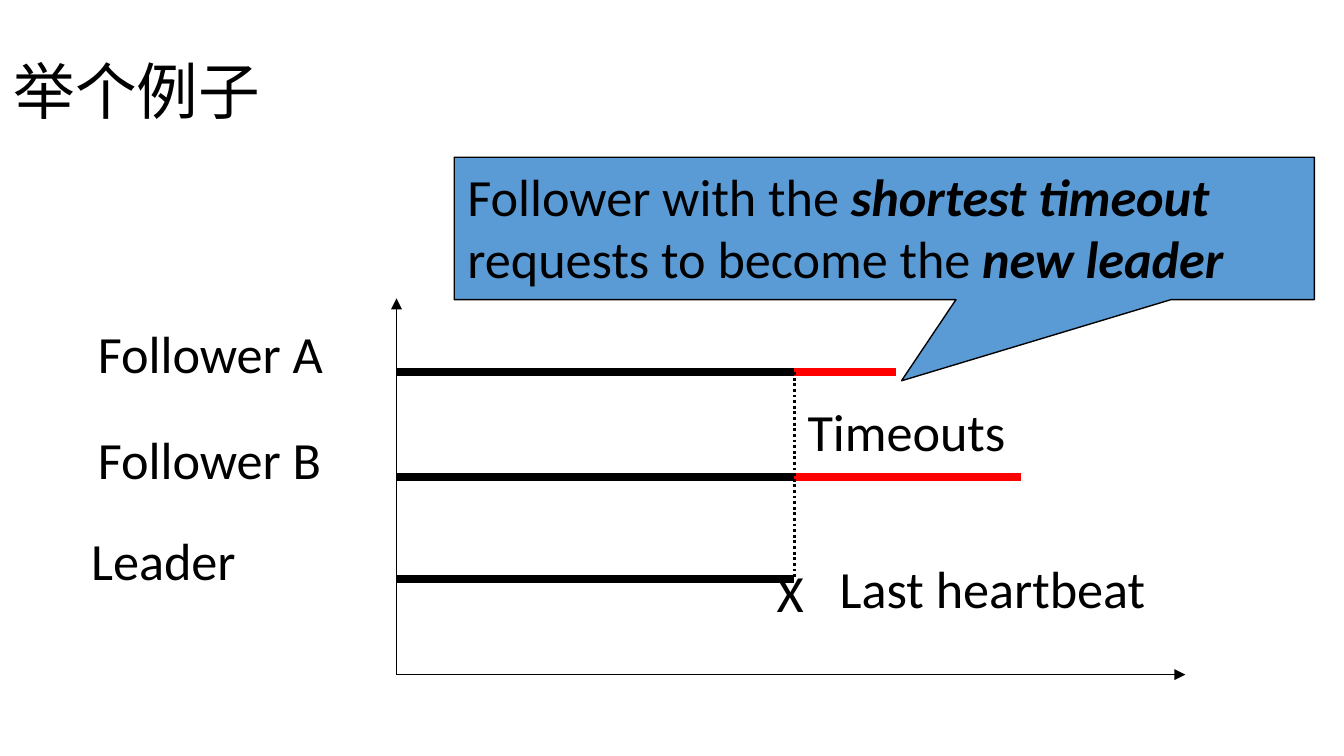
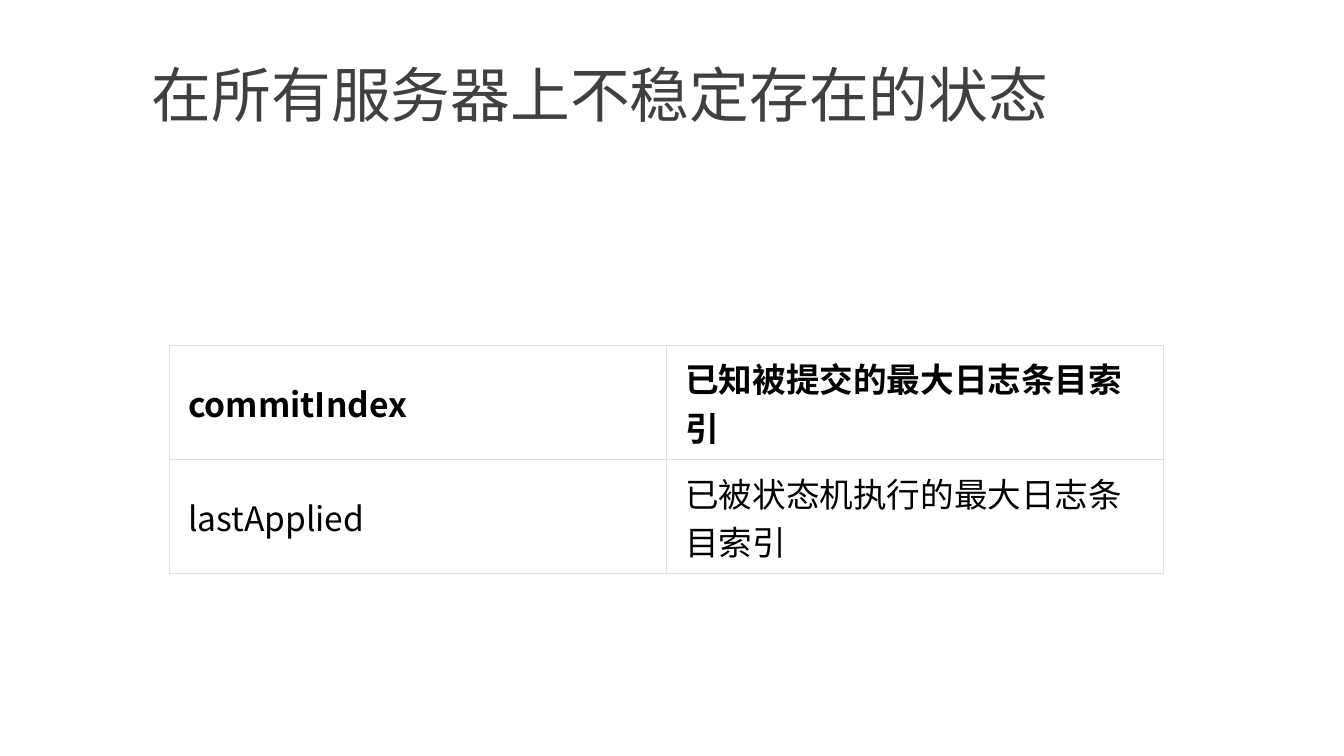
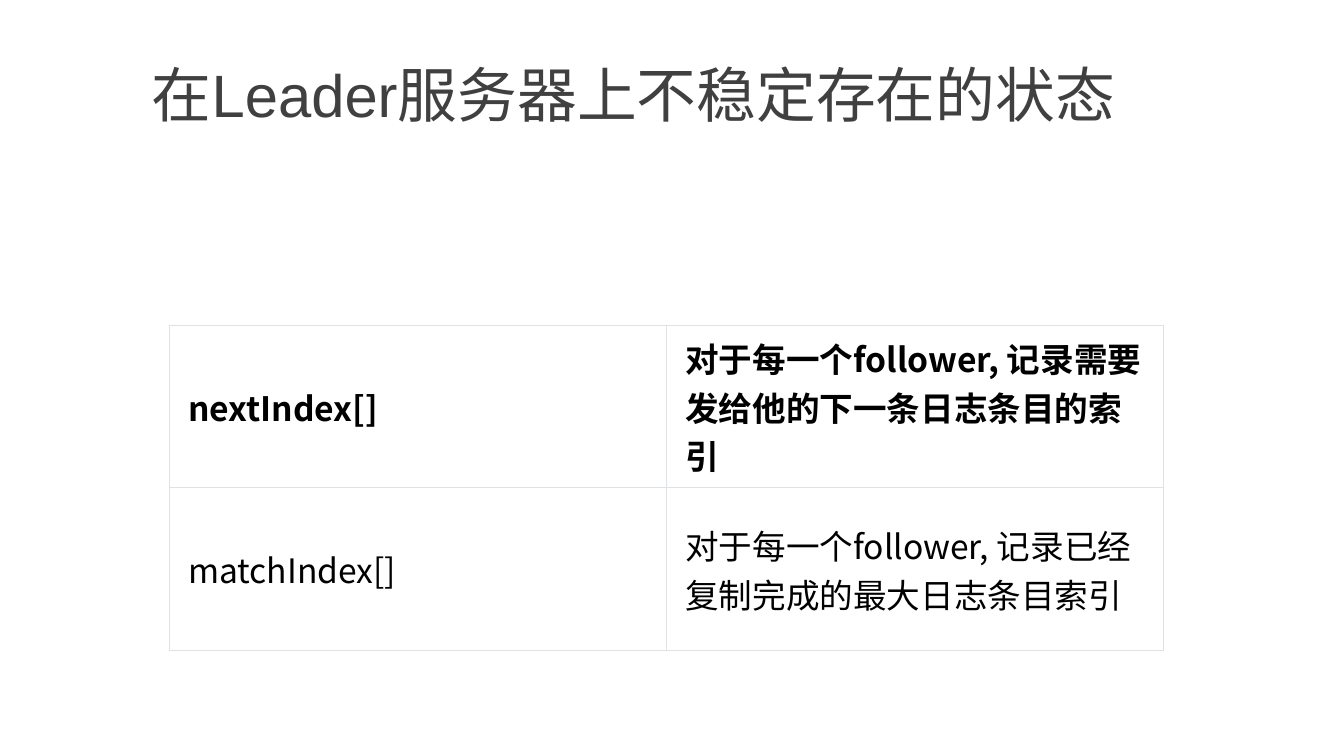
from pptx import Presentation
from pptx.dml.color import RGBColor
from pptx.enum.dml import MSO_LINE
from pptx.enum.shapes import MSO_CONNECTOR, MSO_SHAPE
from pptx.enum.text import MSO_ANCHOR, MSO_AUTO_SIZE, PP_ALIGN
from pptx.oxml.ns import qn
from pptx.util import Inches, Pt
from lxml.etree import SubElement

BLACK = RGBColor(0x00, 0x00, 0x00)
WHITE = RGBColor(0xFF, 0xFF, 0xFF)
RED = RGBColor(0xFF, 0x00, 0x00)
BLUE = RGBColor(0x5B, 0x9B, 0xD5)
GREY = RGBColor(0x40, 0x40, 0x40)
BORDER = RGBColor(0xDF, 0xE2, 0xE5)

CHINESE_FONT = "Noto Sans CJK SC"
LABEL_FONT = "Calibri"
LABEL_SIZE = 28
TITLE_ONLY = 5

AXIS_X, AXIS_Y = 2.95, 5.02
HEARTBEAT_X = 5.91
FOLLOWER_A_Y, FOLLOWER_B_Y, LEADER_Y = 2.77, 3.55, 4.31


def add_span(para, text, font, size, color=BLACK, bold=False, italic=False):
    span = para.add_run()
    span.text = text
    span.font.name = font
    span.font.size = Pt(size)
    span.font.color.rgb = color
    span.font.bold = bold
    span.font.italic = italic
    east_asian = SubElement(span.font._element, qn("a:ea"))
    east_asian.set("typeface", CHINESE_FONT)


def add_page(deck, title, left, size, font, color, spacing=1.0):
    page = deck.slides.add_slide(deck.slide_layouts[TITLE_ONLY])
    box = page.shapes.title
    box.left, box.top = Inches(left), Inches(0.23)
    box.width, box.height = Inches(7.84), Inches(0.94)
    frame = box.text_frame
    frame.auto_size = MSO_AUTO_SIZE.NONE
    frame.vertical_anchor = MSO_ANCHOR.MIDDLE
    para = frame.paragraphs[0]
    para.alignment = PP_ALIGN.LEFT
    para.line_spacing = spacing
    add_span(para, title, font, size, color)
    return page


def add_line(page, start, end, width, color=BLACK, arrow=False, dash=None):
    line = page.shapes.add_connector(
        MSO_CONNECTOR.STRAIGHT, *[Inches(value) for value in (*start, *end)])
    line.line.color.rgb = color
    line.line.width = Pt(width)
    if dash:
        line.line.dash_style = dash
    if arrow:
        SubElement(line.line._get_or_add_ln(), qn("a:tailEnd")).set("type", "triangle")
    SubElement(line._element.spPr, qn("a:effectLst"))


def add_label(page, text, left, top, width):
    box = page.shapes.add_textbox(Inches(left), Inches(top), Inches(width), Inches(0.57))
    box.text_frame.word_wrap = False
    box.text_frame.auto_size = MSO_AUTO_SIZE.SHAPE_TO_FIT_TEXT
    add_span(box.text_frame.paragraphs[0], text, LABEL_FONT, LABEL_SIZE)


def add_callout(page, lines):
    callout = page.shapes.add_shape(
        MSO_SHAPE.RECTANGULAR_CALLOUT, Inches(3.38), Inches(1.17), Inches(6.4), Inches(1.06))
    callout.adjustments[0] = 0.02
    callout.adjustments[1] = 1.07
    callout.shadow.inherit = False
    callout.fill.solid()
    callout.fill.fore_color.rgb = BLUE
    callout.line.color.rgb = BLACK
    callout.line.width = Pt(0.75)
    callout.text_frame.word_wrap = True
    callout.text_frame.vertical_anchor = MSO_ANCHOR.TOP
    para = callout.text_frame.paragraphs[0]
    para.alignment = PP_ALIGN.LEFT
    for number, (plain, strong) in enumerate(lines):
        if number:
            para.add_line_break()
        add_span(para, plain, LABEL_FONT, LABEL_SIZE)
        add_span(para, strong, LABEL_FONT, LABEL_SIZE, bold=True, italic=True)


def add_borders(cell):
    properties = cell._tc.get_or_add_tcPr()
    for position, side in enumerate(("lnL", "lnR", "lnT", "lnB")):
        edge = SubElement(properties, qn(f"a:{side}"))
        edge.set("w", str(Pt(0.75)))
        fill = SubElement(edge, qn("a:solidFill"))
        SubElement(fill, qn("a:srgbClr")).set("val", str(BORDER))
        properties.insert(position, edge)


def add_state_table(page, rows, top, row_height):
    table = page.shapes.add_table(
        len(rows), 2, Inches(1.26), Inches(top), Inches(7.4),
        Inches(row_height * len(rows))).table
    table.horz_banding = False
    for row_number, texts in enumerate(rows):
        for column_number, text in enumerate(texts):
            cell = table.cell(row_number, column_number)
            cell.fill.solid()
            cell.fill.fore_color.rgb = WHITE
            cell.vertical_anchor = MSO_ANCHOR.MIDDLE
            cell.margin_left = cell.margin_right = Inches(0.14)
            cell.margin_top = cell.margin_bottom = Inches(0.06)
            add_borders(cell)
            add_span(cell.text_frame.paragraphs[0], text, CHINESE_FONT, 18,
                     bold=row_number == 0)


def add_election_page(deck):
    page = add_page(deck, "举个例子", 0, 33, CHINESE_FONT, BLACK, 0.9)
    origin = (AXIS_X, AXIS_Y)
    for end in ((AXIS_X, 2.22), (8.82, AXIS_Y)):
        add_line(page, origin, end, 0.75, arrow=True)
    for server_y in (FOLLOWER_A_Y, FOLLOWER_B_Y, LEADER_Y):
        add_line(page, (AXIS_X, server_y), (HEARTBEAT_X, server_y), 4.5)
    for server_y, timeout_x in ((FOLLOWER_A_Y, 6.67), (FOLLOWER_B_Y, 7.6)):
        add_line(page, (HEARTBEAT_X, server_y), (timeout_x, server_y), 4.5, RED)
    for label in (("Follower A", 0.63, 2.34, 1.89),
                  ("Follower B", 0.63, 3.13, 1.88),
                  ("Leader", 0.58, 3.88, 1.29),
                  ("Last heartbeat", 6.15, 4.09, 2.5),
                  ("X", 5.68, 4.12, 0.41),
                  ("Timeouts", HEARTBEAT_X, 2.92, 1.69)):
        add_label(page, *label)
    add_callout(page, (("Follower with the ", "shortest timeout"),
                       ("requests to become the ", "new leader")))
    add_line(page, (HEARTBEAT_X, FOLLOWER_A_Y), (HEARTBEAT_X, LEADER_Y), 1.5,
             dash=MSO_LINE.ROUND_DOT)


def add_state_page(deck, title, rows, top, row_height):
    page = add_page(deck, title, 1.03, 32, "Arial", GREY)
    add_state_table(page, rows, top, row_height)


def main():
    deck = Presentation()
    deck.slide_width = Inches(10)
    deck.slide_height = deck.slide_width * 9 // 16
    add_election_page(deck)
    add_state_page(deck, "在所有服务器上不稳定存在的状态", (
        ("commitIndex", "已知被提交的最大日志条目索引"),
        ("lastApplied", "已被状态机执行的最大日志条目索引")), 2.57, 0.85)
    add_state_page(deck, "在Leader服务器上不稳定存在的状态", (
        ("nextIndex[]", "对于每一个follower, 记录需要发给他的下一条日志条目的索引"),
        ("matchIndex[]", "对于每一个follower, 记录已经复制完成的最大日志条目索引")), 2.42, 1.21)
    deck.save("out.pptx")


if __name__ == "__main__":
    main()
